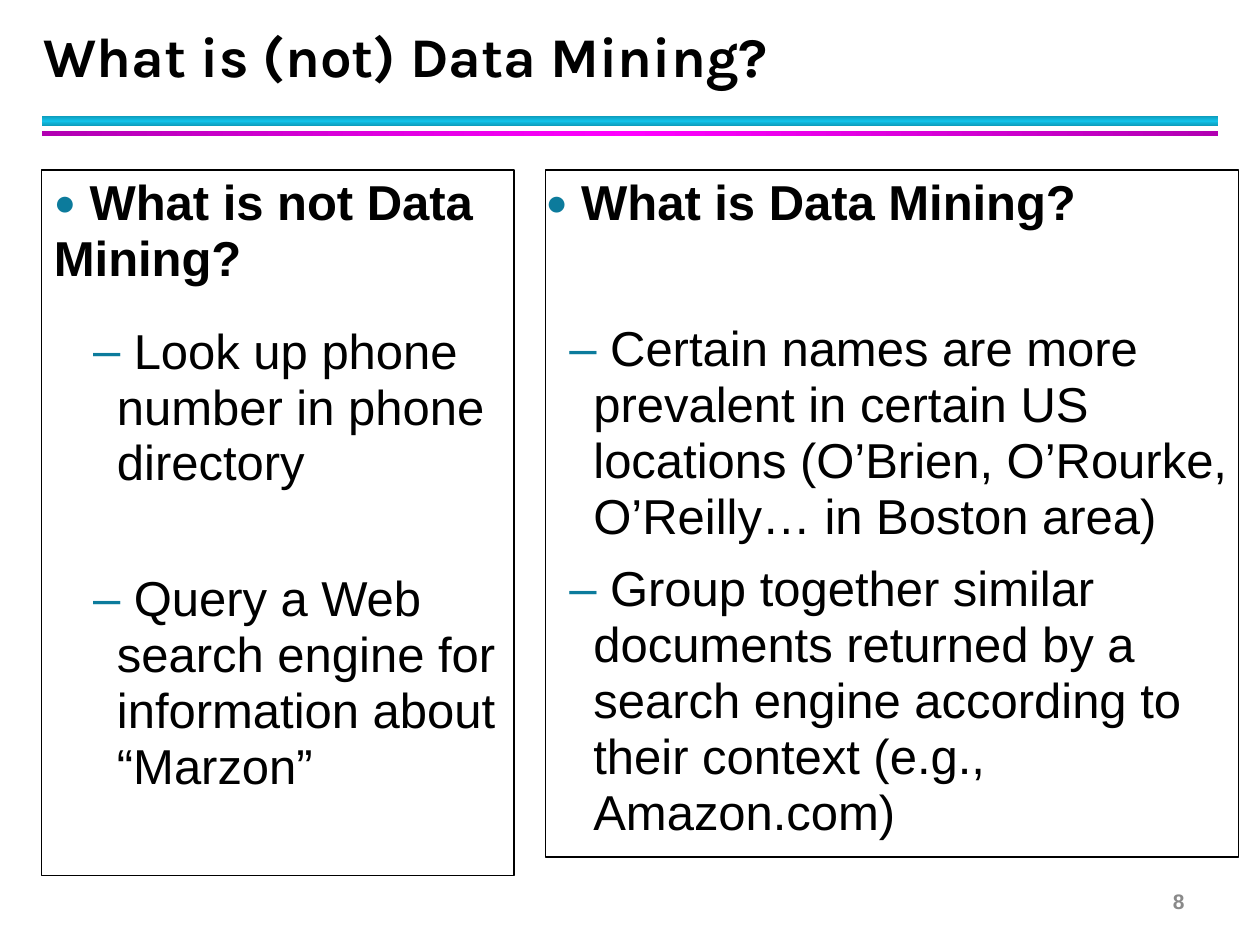
from copy import deepcopy
from dataclasses import dataclass

from lxml.etree import SubElement
from pptx import Presentation
from pptx.dml.color import RGBColor
from pptx.enum.shapes import MSO_SHAPE
from pptx.enum.text import MSO_ANCHOR, PP_ALIGN
from pptx.oxml.ns import qn
from pptx.util import Inches, Pt


@dataclass(frozen=True)
class Theme:
    ink: str = "000000"
    mark: str = "0C7B9C"
    gray: str = "898989"
    cyan: tuple = ("0E9BBA", "12C2E9")
    pink: tuple = ("B200B2", "FF00FF")
    head: str = "Karla"
    body: str = "Arial"
    title: int = 32
    text: int = 28
    note: int = 12


THEME = Theme()


def paint(font, name, size, color, bold):
    font.name, font.size, font.bold = name, Pt(size), bold
    font.color.rgb = RGBColor.from_string(color)


def add_rect(slide, box):
    shape = slide.shapes.add_shape(MSO_SHAPE.RECTANGLE, *map(Inches, box))
    shape.shadow.inherit = False
    return shape


def add_label(slide, box, text, style, anchor, align):
    frame = slide.shapes.add_textbox(*map(Inches, box)).text_frame
    frame.word_wrap = True
    frame.vertical_anchor = anchor
    frame.text = text
    para = frame.paragraphs[0]
    para.alignment = align
    paint(para.runs[0].font, *style)
    return para


def add_band(slide, box, colors, angle):
    shape = add_rect(slide, box)
    shape.line.fill.background()
    shape.fill.gradient()
    shape.fill.gradient_angle = angle
    edge, core = colors
    stops = shape.fill.gradient_stops
    for stop, place in zip(stops, (0, 1)):
        stop.color.rgb = RGBColor.from_string(edge)
        stop.position = place
    first = shape.element.spPr.find(".//" + qn("a:gs"))
    first.addnext(deepcopy(first))
    middle = shape.fill.gradient_stops[1]
    middle.position = 0.5
    middle.color.rgb = RGBColor.from_string(core)


def add_header(slide, box, text):
    left, top, width, height = box
    style = (THEME.head, THEME.title, THEME.ink, True)
    para = add_label(slide, (left - 0.08, top, width, 0.75), text, style,
                     MSO_ANCHOR.BOTTOM, PP_ALIGN.LEFT)
    para.line_spacing = 1.12
    add_band(slide, (left, top + 0.92, width, 0.08), THEME.cyan, 90)
    add_band(slide, (left, top + 1.04, width, 0.04), THEME.pink, 0)


def add_bullet(para, char, scale, margin, indent):
    props = para._p.get_or_add_pPr()
    props.set("marL", str(Inches(margin)))
    props.set("indent", str(Inches(indent)))
    color = SubElement(props, qn("a:buClr"))
    SubElement(color, qn("a:srgbClr"), val=THEME.mark)
    SubElement(props, qn("a:buSzPct"), val=str(scale * 1000))
    SubElement(props, qn("a:buFont"), typeface=THEME.body)
    SubElement(props, qn("a:buChar"), char=char)


def add_panel(slide, box, inset, margin, head, items):
    shape = add_rect(slide, box)
    shape.fill.background()
    shape.line.color.rgb = RGBColor.from_string(THEME.ink)
    shape.line.width = Pt(1)
    frame = shape.text_frame
    frame.word_wrap = True
    frame.vertical_anchor = MSO_ANCHOR.TOP
    frame.margin_left = frame.margin_right = Inches(inset)
    for index, (text, gap) in enumerate([(head, 0), *items]):
        para = frame.add_paragraph() if index else frame.paragraphs[0]
        para.text = " " + text
        para.alignment = PP_ALIGN.LEFT
        para.line_spacing = 0.95
        if index:
            para.level = 1
            para.space_before = Pt(gap)
            add_bullet(para, "–", 100, margin, -0.19)
        else:
            add_bullet(para, "●", 75, 0, -0.15)
        paint(para.runs[0].font, THEME.body, THEME.text, THEME.ink, index == 0)


def add_number(slide, box, text):
    style = (THEME.body, THEME.note, THEME.gray, True)
    add_label(slide, box, text, style, MSO_ANCHOR.MIDDLE, PP_ALIGN.RIGHT)


def main():
    deck = Presentation()
    deck.slide_width, deck.slide_height = Inches(10), Inches(7.5)
    slide = deck.slides.add_slide(deck.slide_layouts[6])
    add_header(slide, (0.33, 0, 9.34, 1.08), "What is (not) Data Mining?")
    add_panel(slide, (4.33, 1.35, 5.5, 5.45), 0, 0.38, "What is Data Mining?", [
        ("Certain names are more prevalent in certain US locations "
         "(O’Brien, O’Rourke, O’Reilly… in Boston area)", 51.2),
        ("Group together similar documents returned by a search engine "
         "according to their context (e.g., Amazon.com)", 9.6),
    ])
    add_panel(slide, (0.33, 1.35, 3.75, 5.6), 0.1, 0.5, "What is not Data Mining?", [
        ("Look up phone number in phone directory", 20.8),
        ("Query a Web search engine for information about “Marzon”", 45.6),
    ])
    add_number(slide, (7.17, 6.95, 2.33, 0.4), "8")
    deck.save("out.pptx")


if __name__ == "__main__":
    main()
